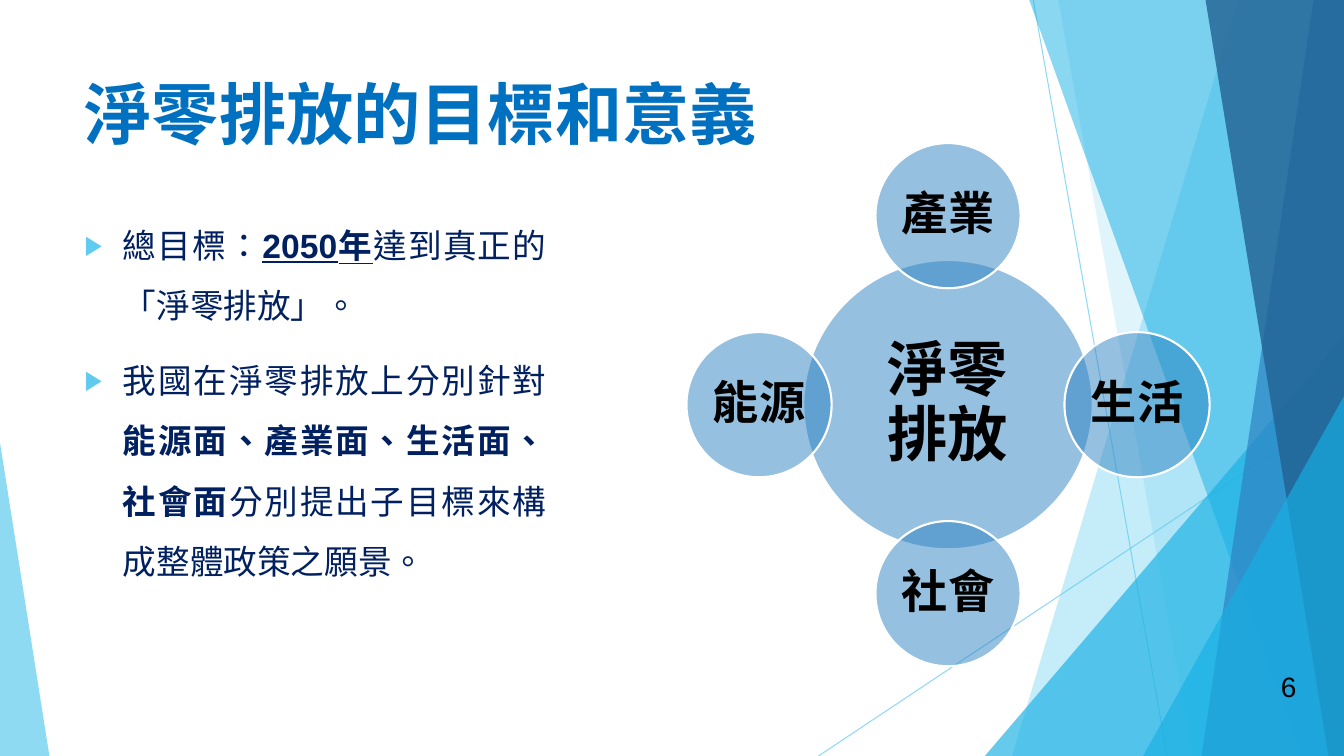
from lxml.etree import SubElement
from pptx import Presentation
from pptx.dml.color import RGBColor
from pptx.enum.lang import MSO_LANGUAGE_ID
from pptx.enum.shapes import MSO_CONNECTOR, MSO_SHAPE
from pptx.enum.text import MSO_ANCHOR, MSO_AUTO_SIZE, PP_ALIGN
from pptx.oxml.ns import qn
from pptx.util import Inches, Pt

SKY, CYAN, BLUE, DEEP = "5FCBEF", "17B0E4", "2E83C3", "226292"


def rgb(value):
    return RGBColor.from_string(value)


class Deck:
    """Holds the style and the current slide; lengths are percentages of the slide's size."""

    font = "Arial"

    def __init__(self):
        self.prs = Presentation()
        self.prs.slide_width, self.prs.slide_height = Inches(13.333), Inches(7.5)
        self.s = self.prs.slides.add_slide(self.prs.slide_layouts[1])

    def x(self, share):
        return round(self.prs.slide_width * share / 100)

    def y(self, share):
        return round(self.prs.slide_height * share / 100)

    def box(self, left, top, width, height):
        return self.x(left), self.y(top), self.x(width), self.y(height)

    def paint(self, fill, color, alpha):
        fill.solid()
        fill.fore_color.rgb = rgb(color)
        clr = fill._xPr.find(f"{qn('a:solidFill')}/{qn('a:srgbClr')}")
        SubElement(clr, qn("a:alpha"), val=str(alpha * 1000))

    def finish(self, sp, color, alpha):
        sp.shadow.inherit = False
        self.paint(sp.fill, color, alpha)
        sp.line.fill.background()

    def line(self, x1, y1, x2, y2):
        cn = self.s.shapes.add_connector(
            MSO_CONNECTOR.STRAIGHT, self.x(x1), self.y(y1), self.x(x2), self.y(y2))
        cn.line.width = Pt(0.75)
        self.paint(cn.line.fill, SKY, 70)
        SubElement(cn._element.spPr, qn("a:effectLst"))

    def band(self, top_x, bottom_x, color, alpha):
        fb = self.s.shapes.build_freeform(self.x(top_x), 0)
        corners = [(100, 0), (100, 100), (bottom_x, 100)]
        fb.add_line_segments([(self.x(x), self.y(y)) for x, y in corners])
        self.finish(fb.convert_to_shape(), color, alpha)

    def wedge(self, left, top, width, apex, color, alpha):
        sp = self.s.shapes.add_shape(
            MSO_SHAPE.ISOSCELES_TRIANGLE, *self.box(left, top, width, 100 - top))
        sp.adjustments[0] = apex
        self.finish(sp, color, alpha)

    def run(self, p, text, size, color, bold=False, underline=False):
        r = p.add_run()
        r.text = text
        f = r.font
        f.name, f.size, f.bold, f.underline = self.font, Pt(size), bold, underline
        f.color.rgb = rgb(color)
        f.language_id = MSO_LANGUAGE_ID.TRADITIONAL_CHINESE

    def frame(self, sp, anchor):
        tf = sp.text_frame
        tf.word_wrap, tf.auto_size, tf.vertical_anchor = True, MSO_AUTO_SIZE.NONE, anchor
        return tf

    def title(self, text, *box):
        sp = self.s.shapes.title
        sp.left, sp.top, sp.width, sp.height = self.box(*box)
        p = self.frame(sp, MSO_ANCHOR.TOP).paragraphs[0]
        p.alignment = PP_ALIGN.LEFT
        self.run(p, text, 48, "0070C0", bold=True)

    def bullets(self, items, *box):
        sp = self.s.placeholders[1]
        sp.left, sp.top, sp.width, sp.height = self.box(*box)
        tf = self.frame(sp, MSO_ANCHOR.TOP)
        for i, runs in enumerate(items):
            p = tf.add_paragraph() if i else tf.paragraphs[0]
            p.alignment, p.line_spacing = PP_ALIGN.JUSTIFY, 1.5
            p.space_before = Pt(10 if i else 0)
            pPr = p._p.get_or_add_pPr()
            pPr.set("marL", str(Inches(0.38)))
            pPr.set("indent", str(-Inches(0.38)))
            SubElement(SubElement(pPr, qn("a:buClr")), qn("a:srgbClr"), val=SKY)
            SubElement(pPr, qn("a:buSzPct"), val="80000")
            SubElement(pPr, qn("a:buFont"), typeface=self.font)
            SubElement(pPr, qn("a:buChar"), char="▶")
            for text, bold, underline in runs:
                self.run(p, text, 24, "002060", bold, underline)

    def number(self, text, *box):
        tf = self.frame(self.s.shapes.add_textbox(*self.box(*box)), MSO_ANCHOR.MIDDLE)
        p = tf.paragraphs[0]
        p.alignment = PP_ALIGN.RIGHT
        self.run(p, text, 20, "000000")

    def circle(self, text, cx, cy, diameter, size, inset):
        d = self.y(diameter)
        sp = self.s.shapes.add_shape(
            MSO_SHAPE.OVAL, self.x(cx) - d // 2, self.y(cy) - d // 2, d, d)
        self.finish(sp, BLUE, 50)
        sp.line.color.rgb, sp.line.width = rgb("FFFFFF"), Pt(1.5)
        tf = self.frame(sp, MSO_ANCHOR.MIDDLE)
        tf.margin_left = tf.margin_right = tf.margin_top = tf.margin_bottom = Pt(inset)
        p = tf.paragraphs[0]
        p.alignment, p.line_spacing = PP_ALIGN.CENTER, 0.9
        self.run(p, text, size, "000000", bold=True)


def main():
    d = Deck()
    d.line(76.88, 0, 86.85, 100)
    d.line(100, 53.73, 60.9, 100)
    d.band(92.1, 75.3, SKY, 36)
    d.band(78.75, 88.73, SKY, 20)
    d.wedge(73.28, 44.4, 26.72, 1, CYAN, 66)
    d.band(76.58, 96.83, CYAN, 50)
    d.band(97.73, 89.4, BLUE, 70)
    d.band(89.7, 98.85, DEEP, 80)
    d.wedge(85.05, 52.4, 14.95, 1, CYAN, 66)
    d.wedge(0, 58.53, 3.68, 0, SKY, 70)

    d.title("淨零排放的目標和意義", 5.55, 8.93, 70.5, 19.2)
    d.bullets([
        [("總目標：", False, False), ("2050年", True, True),
         ("達到真正的「淨零排放」。", False, False)],
        [("我國在淨零排放上分別針對", False, False),
         ("能源面、產業面、生活面、社會面", True, False),
         ("分別提出子目標來構成整體政策之願景。", False, False)],
    ], 5.55, 26.4, 35.85, 69.07)
    d.number("6", 91.58, 88.13, 5.63, 5.33)

    cx, cy, orbit = 70.54, 53.53, 25
    d.circle("淨零 排放", cx, cy, 38.27, 43, 4.5)
    for text, dx, dy in [("產業", 0, -1), ("生活", 1, 0), ("社會", 0, 1), ("能源", -1, 0)]:
        d.circle(text, cx + dx * orbit * 9 / 16, cy + dy * orbit, 19.2, 33, 3)
    d.prs.save("out.pptx")


if __name__ == "__main__":
    main()
